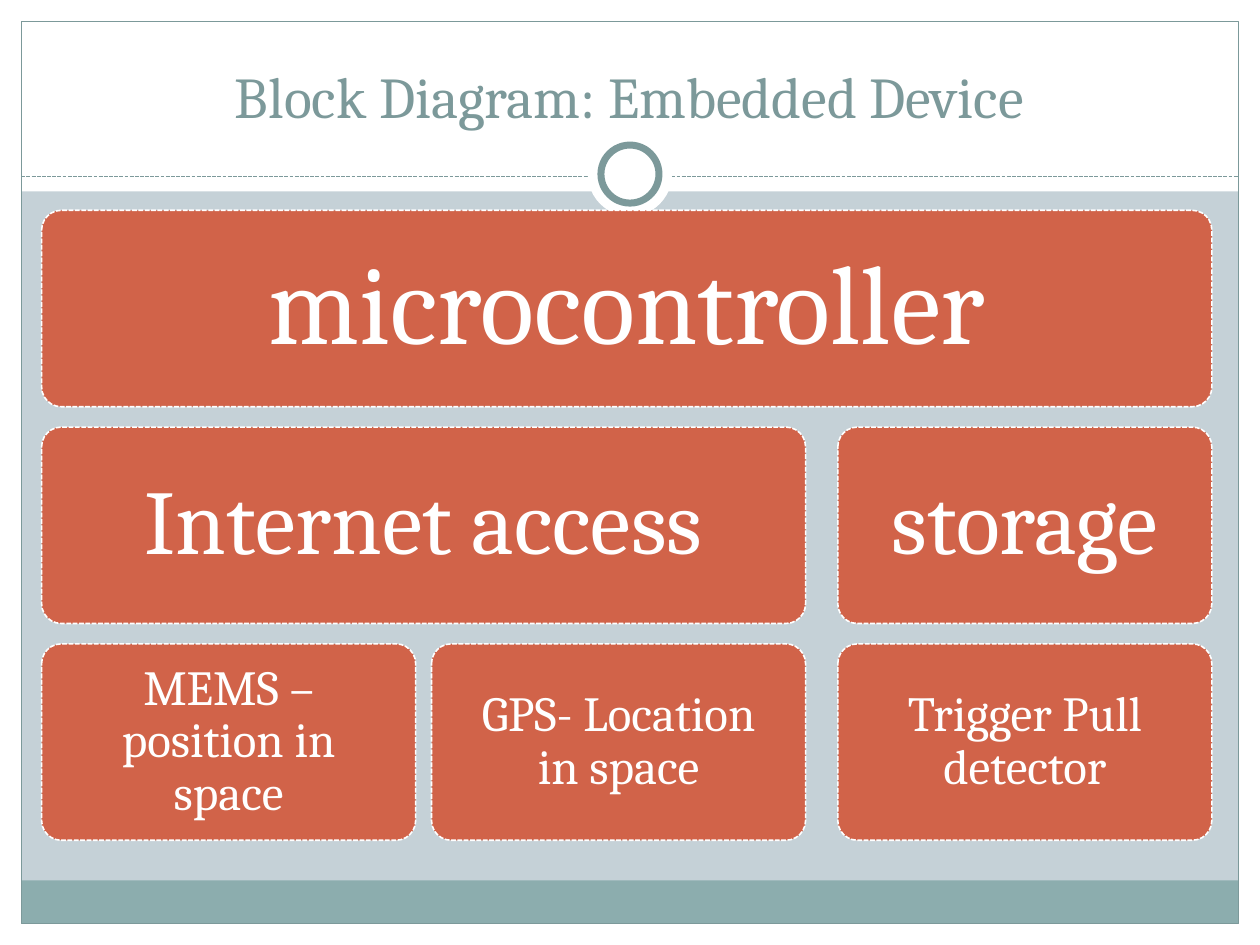
"""Build the embedded device block diagram slide."""
import pptx
import pptx.dml.color
import pptx.enum.dml
import pptx.enum.shapes
import pptx.enum.text
import pptx.oxml
import pptx.oxml.ns
import pptx.util

Cm = pptx.util.Cm
Pt = pptx.util.Pt
SHAPES = pptx.enum.shapes.MSO_SHAPE
ANCHORS = pptx.enum.text.MSO_ANCHOR
DASH = pptx.enum.dml.MSO_LINE.SQUARE_DOT

TITLE = "Block Diagram: Embedded Device"
# text, row, first column, columns spanned, size, inset
BLOCKS = [
    ("microcontroller", 0, 0, 3, 64, 0.81),
    ("Internet access", 1, 0, 2, 52, 0.68),
    ("MEMS – position in space", 2, 0, 1, 28, 0.42),
    ("GPS- Location in space", 2, 1, 1, 28, 0.42),
    ("storage", 1, 2, 1, 52, 0.68),
    ("Trigger Pull detector", 2, 2, 1, 28, 0.42),
]
WHITE, TEAL, BAND, ORANGE, BACKGROUND = "FFFFFF", "7C999A", "8CADAE", "D16349", "C5D1D7"
WIDTH, HEIGHT, MARGIN, HEADER = 25.4, 19.05, 0.43, 3.86
RULE_TOP, RING_CENTER = 3.56, 3.51
COLUMN_LEFTS, COLUMN_WIDTH = (0.84, 8.7, 16.89), 7.54
ROW_TOP, ROW_HEIGHT, ROW_GAP = 4.24, 3.96, 0.41


def color(value):
    return pptx.dml.color.RGBColor.from_string(value)


def style_line(line, value, width, dash=None):
    line.color.rgb = color(value)
    line.width = Pt(width)
    if dash:
        line.dash_style = dash


def add_shape(slide, kind, left, top, width, height, fill=None, line=None):
    shape = slide.shapes.add_shape(kind, Cm(left), Cm(top), Cm(width), Cm(height))
    shape.shadow.inherit = False
    if fill:
        shape.fill.solid()
        shape.fill.fore_color.rgb = color(fill)
    else:
        shape.fill.background()
    if line:
        style_line(shape.line, *line)
    else:
        shape.line.fill.background()
    return shape


def write_text(shape, text, size, value, anchor, inset, spacing=1.0):
    frame = shape.text_frame
    frame.word_wrap = True
    frame.auto_size = pptx.enum.text.MSO_AUTO_SIZE.NONE
    frame.vertical_anchor = anchor
    frame.margin_left = frame.margin_right = Cm(inset)
    frame.margin_top = frame.margin_bottom = Cm(inset)
    paragraph = frame.paragraphs[0]
    paragraph.alignment = pptx.enum.text.PP_ALIGN.CENTER
    paragraph.line_spacing = spacing
    run = paragraph.add_run()
    run.text = text
    run.font.size = Pt(size)
    run.font.name = "Cambria"
    run.font.color.rgb = color(value)


def add_frame(slide):
    right, inner = WIDTH - MARGIN, WIDTH - 2 * MARGIN
    for left, top, width, height, fill in [
        (0, HEIGHT - MARGIN, WIDTH, MARGIN, WHITE),
        (0, 0, WIDTH, HEADER, WHITE),
        (0, 0, MARGIN, HEIGHT, WHITE),
        (right, 0, MARGIN, HEIGHT, WHITE),
        (MARGIN, 17.75, inner, 0.87, BAND),
    ]:
        add_shape(slide, SHAPES.RECTANGLE, left, top, width, height, fill)
    add_shape(slide, SHAPES.RECTANGLE, MARGIN, MARGIN, inner, HEIGHT - 2 * MARGIN,
              line=(TEAL, 0.75))
    rule = slide.shapes.add_connector(
        pptx.enum.shapes.MSO_CONNECTOR.STRAIGHT,
        Cm(MARGIN), Cm(RULE_TOP), Cm(right), Cm(RULE_TOP))
    style_line(rule.line, TEAL, 0.75, DASH)
    rule._element.spPr.append(pptx.oxml.parse_xml(
        "<a:effectLst %s/>" % pptx.oxml.ns.nsdecls("a")))
    for size, line in [(1.7, None), (1.17, (TEAL, 4))]:
        add_shape(slide, SHAPES.OVAL, (WIDTH - size) / 2, RING_CENTER - size / 2,
                  size, size, WHITE, line)


def add_title(slide):
    title = slide.shapes.title
    title.left, title.top, title.width, title.height = Cm(0.84), Cm(0.64), Cm(23.7), Cm(2.11)
    write_text(title, TITLE, 33, TEAL, ANCHORS.BOTTOM, 0.13)
    slide.shapes._spTree.append(title._element)


def add_block(slide, text, row, column, span, size, inset):
    left = COLUMN_LEFTS[column]
    width = COLUMN_LEFTS[column + span - 1] + COLUMN_WIDTH - left
    top = ROW_TOP + row * (ROW_HEIGHT + ROW_GAP)
    block = add_shape(slide, SHAPES.ROUNDED_RECTANGLE, left, top, width, ROW_HEIGHT,
                      ORANGE, (WHITE, 0.9, DASH))
    block.adjustments[0] = 0.1
    write_text(block, text, size, WHITE, ANCHORS.MIDDLE, inset, 0.9)


def main():
    presentation = pptx.Presentation()
    presentation.slide_width, presentation.slide_height = Cm(WIDTH), Cm(HEIGHT)
    slide = presentation.slides.add_slide(presentation.slide_layouts[5])
    slide.background.fill.solid()
    slide.background.fill.fore_color.rgb = color(BACKGROUND)
    add_frame(slide)
    add_title(slide)
    for block in BLOCKS:
        add_block(slide, *block)
    presentation.save("out.pptx")


if __name__ == "__main__":
    main()
